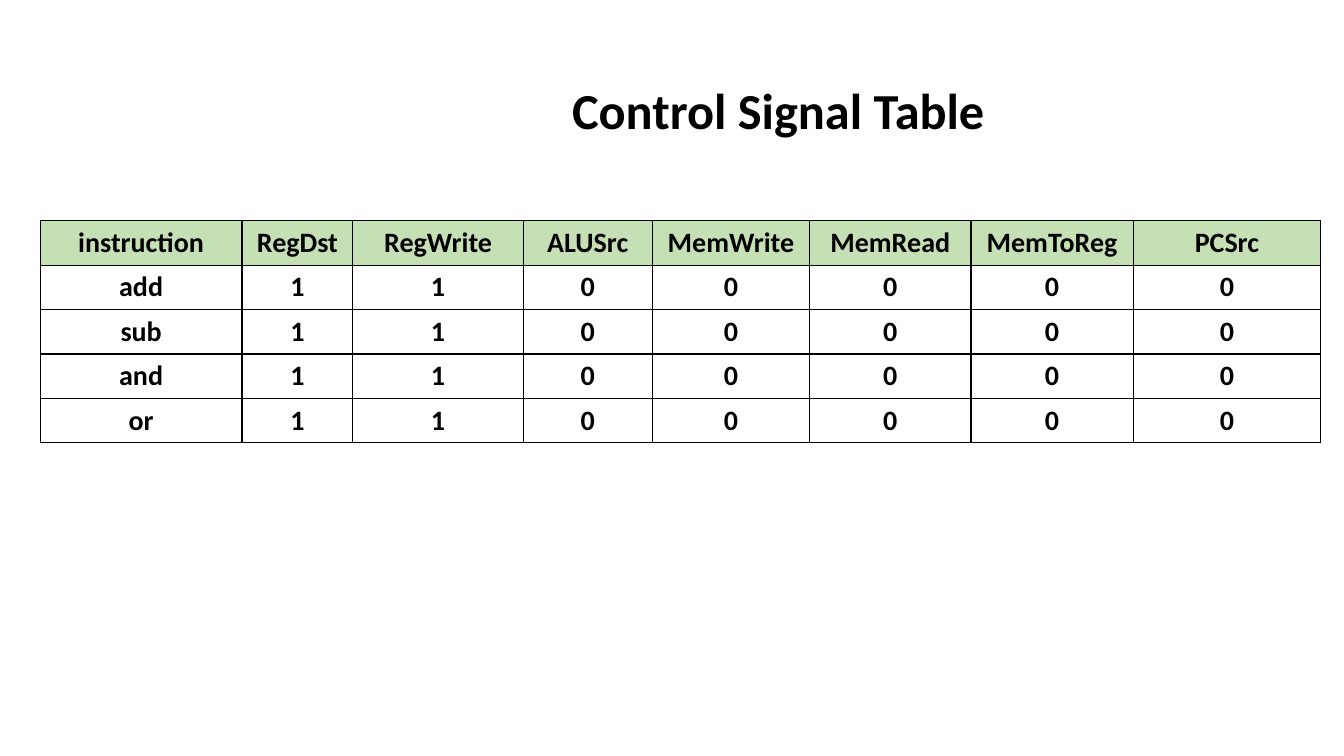
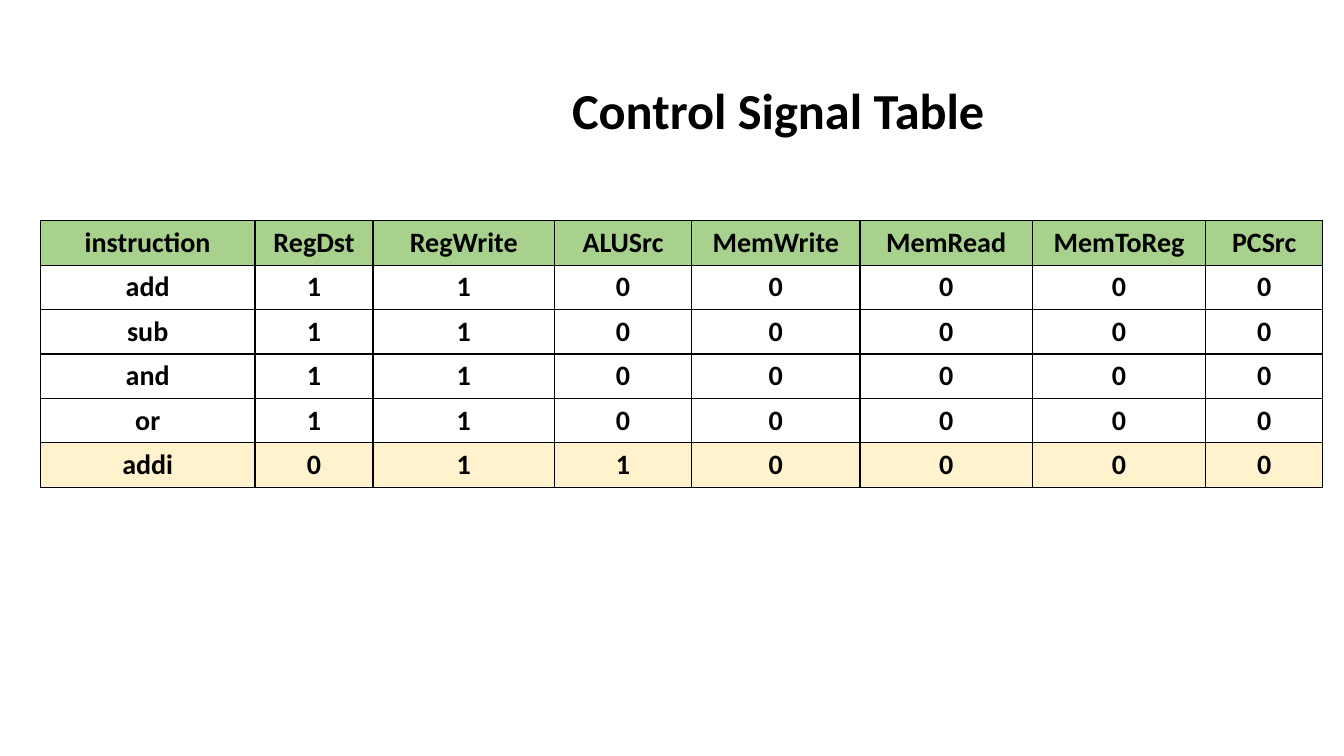
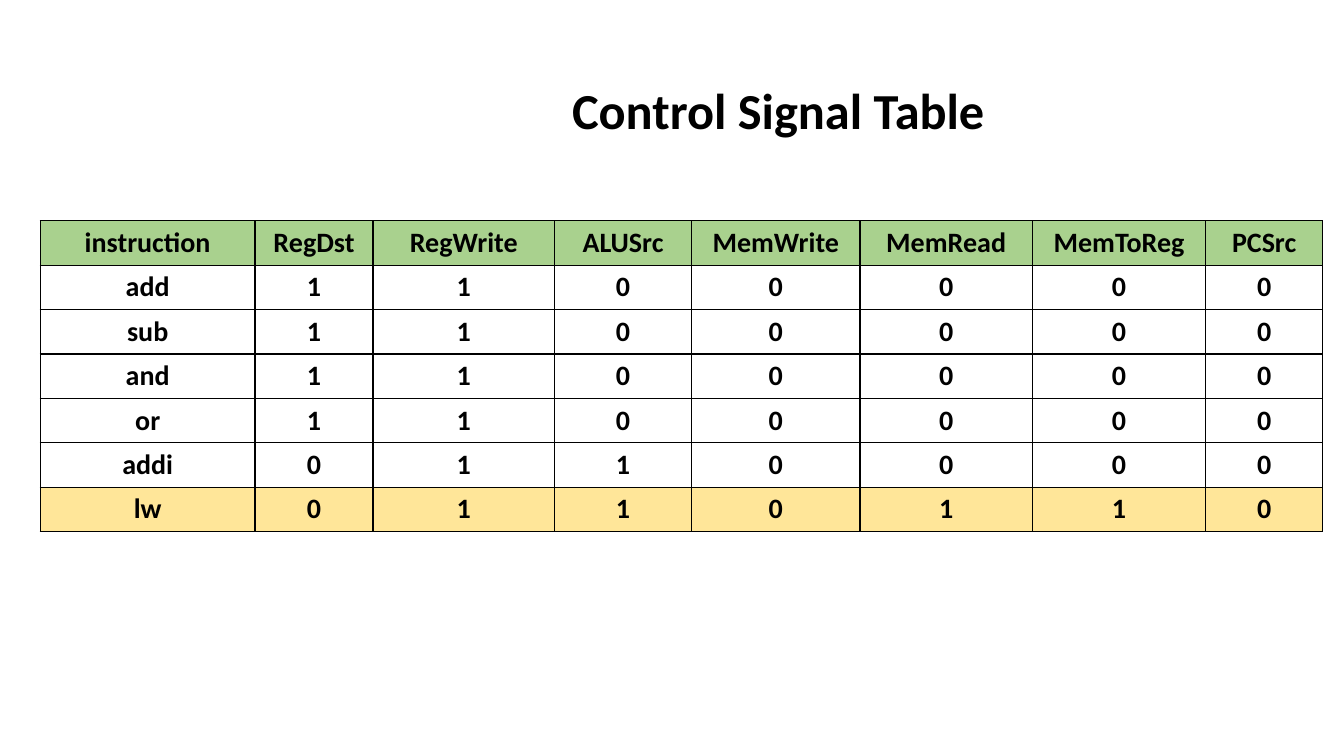
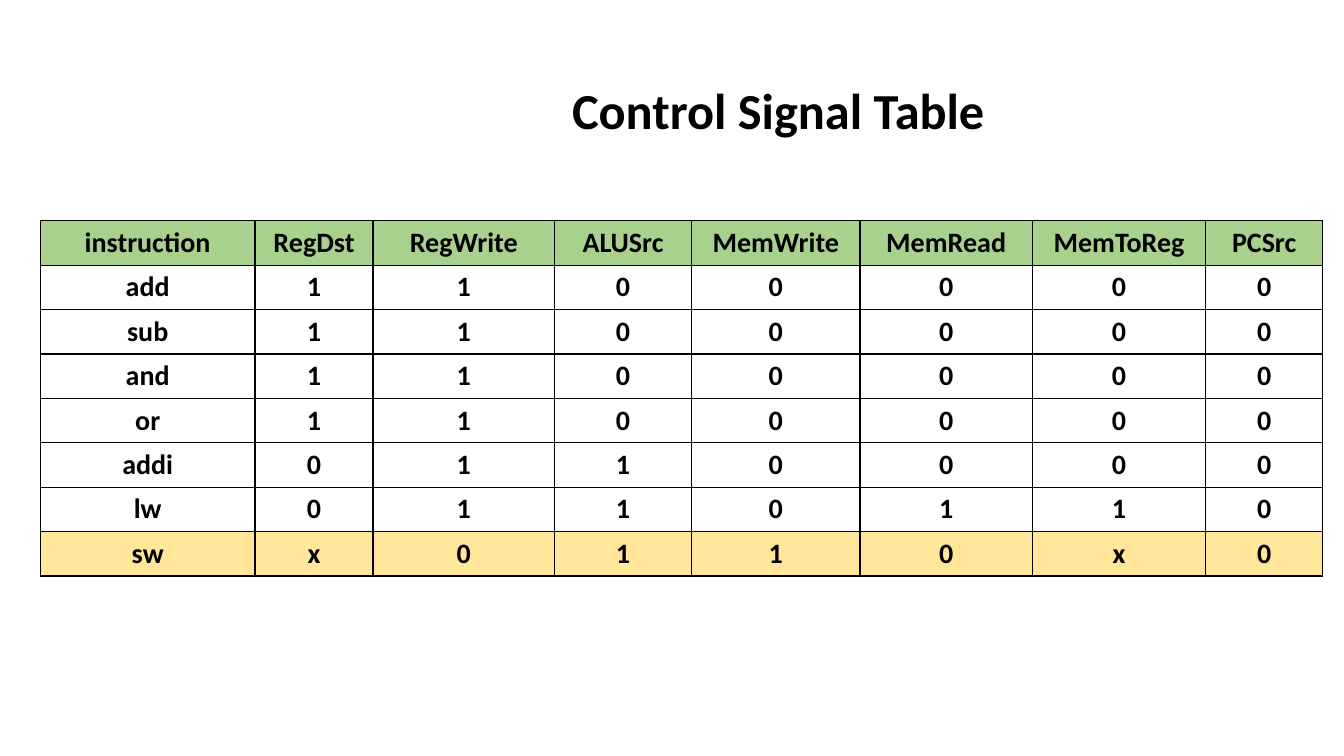
"""Build the control signal table slides."""
from dataclasses import dataclass

from lxml import etree
from pptx import Presentation
from pptx.dml.color import RGBColor
from pptx.enum import text
from pptx.oxml import ns
from pptx.util import Inches, Pt


@dataclass(frozen=True)
class Theme:
    """Colours, type sizes and measures of the deck."""
    font: str = "Calibri"
    ink: str = "000000"
    pale: str = "C5E0B4"
    green: str = "A9D18E"
    cream: str = "FFF2CC"
    gold: str = "FFE699"
    head: int = 36
    body: int = 20
    rule: float = 1
    left: float = 0.4
    top: float = 2.19
    row: float = 0.44


T = Theme()
HEADS = ("instruction", "RegDst", "RegWrite", "ALUSrc",
         "MemWrite", "MemRead", "MemToReg", "PCSrc")
CODES = {"add": "1100000", "sub": "1100000", "and": "1100000",
         "or": "1100000", "addi": "0110000", "lw": "0110110",
         "sw": "x0110x0"}
WIDE = (2, 1.1, 1.69, 1.28, 1.56, 1.6, 1.61, 1.86)
EVEN = (2.13, 1.17, 1.8, 1.36, 1.67, 1.71, 1.72, 1.16)


def write(frame, words, size=T.body, color=T.ink, bold=True, space=None):
    """Put one centred, formatted paragraph in a text frame."""
    para = frame.paragraphs[0]
    para.alignment = text.PP_ALIGN.CENTER
    para.line_spacing = space
    run = para.add_run()
    run.text = words
    run.font.name = T.font
    run.font.size = Pt(size)
    run.font.bold = bold
    run.font.color.rgb = RGBColor.from_string(color)


def edge(cell):
    """Draw a thin line on all four sides of a cell."""
    props = cell._tc.get_or_add_tcPr()
    for side in ("a:lnL", "a:lnR", "a:lnT", "a:lnB"):
        line = etree.SubElement(props, ns.qn(side), w=str(Pt(T.rule)))
        fill = etree.SubElement(line, ns.qn("a:solidFill"))
        etree.SubElement(fill, ns.qn("a:srgbClr"), val=T.ink)


def paint(cell, color):
    """Fill a cell, or leave it clear when there is no colour."""
    if color:
        cell.fill.solid()
        cell.fill.fore_color.rgb = RGBColor.from_string(color)
    else:
        cell.fill.background()


def grid(slide, rows, widths, fills):
    """Add a bordered table with one fill for each row."""
    table = slide.shapes.add_table(
        len(rows), len(widths), Inches(T.left), Inches(T.top),
        Inches(sum(widths)), Inches(T.row * len(rows))).table
    table.horz_banding = False
    for col, width in zip(table.columns, widths):
        col.width = Inches(width)
    for line, row, fill in zip(table.rows, rows, fills):
        line.height = Inches(T.row)
        for cell, words in zip(line.cells, row):
            write(cell.text_frame, words)
            edge(cell)
            paint(cell, fill)


def page(deck, layout, count, widths, head, mark=None):
    """Add a slide with the first instructions, the last one marked."""
    slide = deck.slides.add_slide(layout)
    write(slide.shapes.title.text_frame, "Control Signal Table",
          size=T.head, space=0.9)
    rows = [HEADS] + [(name, *bits) for name, bits in CODES.items()][:count]
    fills = [head] + [None] * (count - 1) + [mark]
    grid(slide, rows, widths, fills)


def main():
    """Set up the layout, add the slides and save."""
    deck = Presentation()
    deck.slide_width, deck.slide_height = Inches(13.33), Inches(7.5)
    layout = deck.slide_layouts.get_by_name("Title Only")
    title = layout.placeholders[0]
    title.left, title.top = Inches(3.02), Inches(0.4)
    title.width, title.height = Inches(9.4), Inches(1.45)
    title.text_frame.vertical_anchor = text.MSO_ANCHOR.MIDDLE
    page(deck, layout, 4, WIDE, T.pale)
    for count, mark in ((5, T.cream), (6, T.gold), (7, T.gold)):
        page(deck, layout, count, EVEN, T.green, mark)
    deck.save("out.pptx")


if __name__ == "__main__":
    main()
